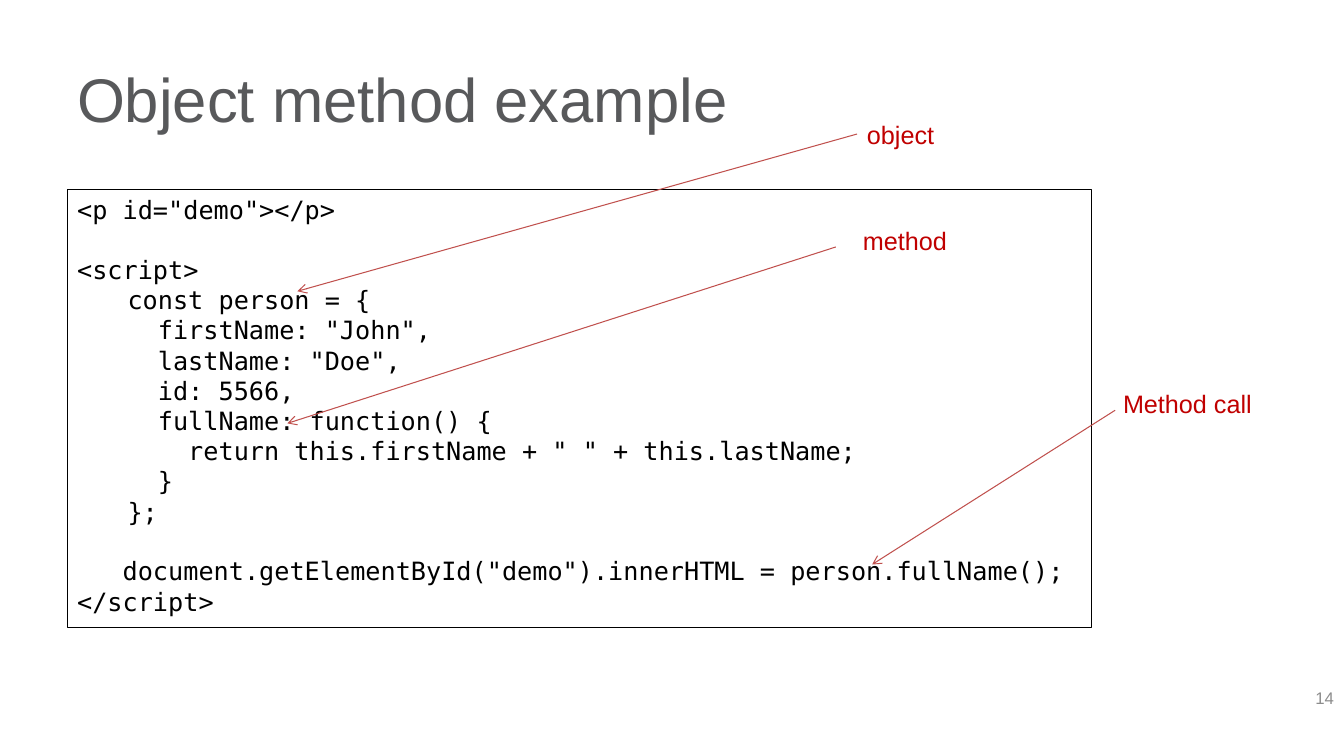
from lxml.etree import SubElement
from pptx import Presentation
from pptx.dml.color import RGBColor
from pptx.enum.shapes import MSO_CONNECTOR, MSO_SHAPE
from pptx.enum.text import MSO_ANCHOR, PP_ALIGN
from pptx.oxml.ns import qn
from pptx.util import Inches, Pt

COLORS = {"title": "58595B", "number": "8C8C8C", "code": "000000",
          "label": "C00000", "arrow": "C0504D"}
BLANK_LINE = 21  # points, one line of code

# Each code line: text, indent in inches, space before in points
CODE = [
    ('<p id="demo"></p>', 0, 0),
    ("<script>", 0, BLANK_LINE),
    ("const person = {", 0.5, 0),
    ('  firstName: "John",', 0.5, 0),
    ('  lastName: "Doe",', 0.5, 0),
    ("  id: 5566,", 0.5, 0),
    ("  fullName: function() {", 0.5, 0),
    ('    return this.firstName + " " + this.lastName;', 0.5, 0),
    ("  }", 0.5, 0),
    ("};", 0.5, 0),
    ('   document.getElementById("demo").innerHTML = person.fullName();', 0, BLANK_LINE),
    ("</script>", 0, 0),
]

# Each callout: text, label box, arrow start, arrow end, in percent of the slide
CALLOUTS = [
    ("object", (63.77, 15.07, 8.63, 5.33), (63.77, 17.73), (22.13, 38.53)),
    ("method", (63.47, 29.2, 11.7, 5.33), (62.19, 32.67), (21.38, 56)),
    ("Method call", (82.82, 50.67, 12.23, 5.33), (82.97, 54.27), (64.89, 74.67)),
]


def color(name):
    return RGBColor.from_string(COLORS[name])


def write(para, text, size=18, font="Arial", ink="label", align=PP_ALIGN.LEFT,
          indent=0, before=0):
    para.alignment = align
    if indent:
        properties = para._p.get_or_add_pPr()
        properties.set("marL", str(Inches(indent)))
        properties.set("indent", "0")
    if before:
        para.space_before = Pt(before)
    span = para.add_run()
    span.text = text
    span.font.size = Pt(size)
    span.font.name = font
    span.font.color.rgb = color(ink)


class SlideBuilder:
    """Draws on one slide, with positions in percent of its size."""

    def __init__(self, deck):
        self.width, self.height = deck.slide_width, deck.slide_height
        self.shapes = deck.slides.add_slide(deck.slide_layouts[6]).shapes

    def across(self, share):
        return round(self.width * share / 100)

    def down(self, share):
        return round(self.height * share / 100)

    def place(self, area):
        left, top, width, height = area
        return self.across(left), self.down(top), self.across(width), self.down(height)

    def text(self, text, area, anchor=MSO_ANCHOR.TOP, **style):
        frame = self.shapes.add_textbox(*self.place(area)).text_frame
        frame.word_wrap = True
        frame.vertical_anchor = anchor
        write(frame.paragraphs[0], text, **style)

    def code(self, lines, area):
        box = self.shapes.add_shape(MSO_SHAPE.RECTANGLE, *self.place(area))
        box.shadow.inherit = False
        box.fill.background()
        box.line.color.rgb = color("code")
        box.line.width = Pt(0.25)
        frame = box.text_frame
        frame.word_wrap = True
        frame.vertical_anchor = MSO_ANCHOR.TOP
        for index, (text, indent, before) in enumerate(lines):
            para = frame.add_paragraph() if index else frame.paragraphs[0]
            write(para, text, font="DejaVu Sans Mono", ink="code",
                  indent=indent, before=before)

    def arrow(self, start, end):
        arrow = self.shapes.add_connector(
            MSO_CONNECTOR.STRAIGHT, self.across(start[0]), self.down(start[1]),
            self.across(end[0]), self.down(end[1]))
        arrow.line.color.rgb = color("arrow")
        arrow.line.width = Pt(0.75)
        SubElement(arrow.line._get_or_add_ln(), qn("a:tailEnd"), type="arrow")
        SubElement(arrow._element.spPr, qn("a:effectLst"))


def main():
    deck = Presentation()
    deck.slide_width, deck.slide_height = Inches(13.33), Inches(7.5)
    slide = SlideBuilder(deck)
    slide.text("Object method example", (5, 5.6, 54.24, 14.8),
               anchor=MSO_ANCHOR.MIDDLE, size=44, ink="title")
    slide.text("14", (76.67, 89.6, 23.33, 5.33), anchor=MSO_ANCHOR.MIDDLE,
               size=12, ink="number", align=PP_ALIGN.RIGHT)
    slide.code(CODE, (5, 25.07, 76.22, 57.87))
    for text, area, start, end in CALLOUTS:
        slide.text(text, area)
        slide.arrow(start, end)
    deck.save("out.pptx")


if __name__ == "__main__":
    main()
